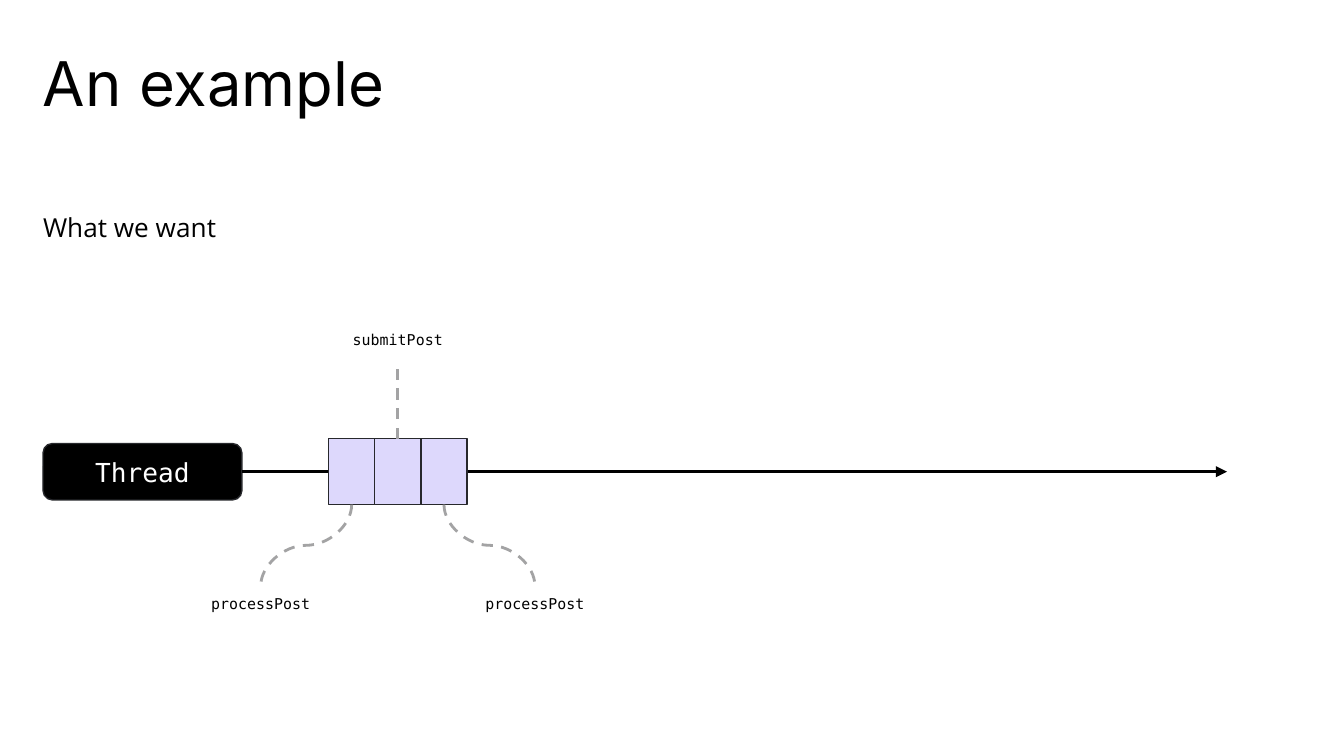
"""Build the thread timeline slide with its three queued calls."""
from lxml import etree
from pptx import Presentation
from pptx import util as u
from pptx.dml import color as c
from pptx.enum import dml, shapes, text
from pptx.oxml import ns

TITLE = "An example"
SUBTITLE = "What we want"
THREAD = "Thread"
CALLS = [
    {"text": "submitPost", "task": 1, "x": 2.96, "top": 2.39, "width": 0.92},
    {"text": "processPost", "task": 2, "x": 3.98, "top": 4.36, "width": 1.01},
    {"text": "processPost", "task": 0, "x": 1.94, "top": 4.36, "width": 1.01},
]
LABEL_H = 0.34
MARGIN = 0.32
AXIS_Y, AXIS_END = 3.51, 9.13
THREAD_W, THREAD_H = 1.48, 0.42
TASKS, TASKS_X, TASKS_W, TASK_H = 3, 2.96, 1.03, 0.49

THEME = {
    "ink": "000000", "paper": "FFFFFF", "outline": "27282C",
    "task": "DDD8FC", "link": "A3A3A4",
    "title": ("Inter", 33), "body": ("Open Sans", 14),
    "thread": ("DejaVu Sans Mono", 14), "label": ("DejaVu Sans Mono", 8),
}


def rgb(name):
    return c.RGBColor.from_string(THEME[name])


def write(sp, content, style, ink="ink", align=text.PP_ALIGN.CENTER,
          anchor=text.MSO_ANCHOR.TOP, insets=(0.1, 0.1, 0.1, 0.1)):
    tf = sp.text_frame
    tf.word_wrap = True
    tf.vertical_anchor = anchor
    (tf.margin_left, tf.margin_top,
     tf.margin_right, tf.margin_bottom) = map(u.Inches, insets)
    p = tf.paragraphs[0]
    p.alignment = align
    r = p.add_run()
    r.text = content
    r.font.name, size = THEME[style]
    r.font.size = u.Pt(size)
    r.font.color.rgb = rgb(ink)
    return p


def add_text(slide, box, *args, **kwargs):
    return write(slide.shapes.add_textbox(*map(u.Inches, box)), *args, **kwargs)


def add_block(slide, kind, box, fill):
    sp = slide.shapes.add_shape(kind, *map(u.Inches, box))
    sp.shadow.inherit = False
    sp.fill.solid()
    sp.fill.fore_color.rgb = rgb(fill)
    sp.line.color.rgb = rgb("outline")
    sp.line.width = u.Pt(0.75)
    return sp


def add_line(slide, kind, ends, ink):
    line = slide.shapes.add_connector(kind, *map(u.Inches, ends))
    line.line.color.rgb = rgb(ink)
    line.line.width = u.Pt(1.5)
    etree.SubElement(line._element.spPr, ns.qn("a:effectLst"))
    return line


def add_link(slide, x1, y1, x2, y2):
    if abs(x2 - x1) < 0.05:
        link = add_line(slide, shapes.MSO_CONNECTOR.STRAIGHT, (x1, y1, x1, y2), "link")
    else:
        side = 1 if x2 > x1 else -1
        mid_x, mid_y = (x1 + x2) / 2, (y1 + y2) / 2
        half_w, half_h = side * (y2 - y1) / 2, abs(x2 - x1) / 2
        ends = (mid_x + half_w, mid_y - half_h, mid_x - half_w, mid_y + half_h)
        link = add_line(slide, shapes.MSO_CONNECTOR.CURVE, ends, "link")
        xfrm = link._element.spPr.find(ns.qn("a:xfrm"))
        xfrm.set("rot", str((180 + 90 * side) * 60000))
    link.line.dash_style = dml.MSO_LINE.DASH


def main():
    prs = Presentation()
    prs.slide_width = u.Inches(10)
    prs.slide_height = prs.slide_width * 9 // 16
    slide = prs.slides.add_slide(prs.slide_layouts[6])
    slide.background.fill.solid()
    slide.background.fill.fore_color.rgb = rgb("paper")

    thread = add_block(slide, shapes.MSO_SHAPE.ROUNDED_RECTANGLE,
                       (MARGIN, AXIS_Y - THREAD_H / 2, THREAD_W, THREAD_H), "ink")
    write(thread, THREAD, "thread", "paper", anchor=text.MSO_ANCHOR.MIDDLE)
    axis = add_line(slide, shapes.MSO_CONNECTOR.STRAIGHT,
                    (MARGIN + THREAD_W, AXIS_Y, AXIS_END, AXIS_Y), "ink")
    ln = axis._element.spPr.find(ns.qn("a:ln"))
    etree.SubElement(ln, ns.qn("a:tailEnd"), type="triangle")

    p = add_text(slide, (MARGIN, 1.46, 9.11, 0.59), SUBTITLE, "body",
                 align=text.PP_ALIGN.LEFT, insets=(0, 0.08, 0, 0))
    p.line_spacing, p.space_after = 1.15, u.Pt(4)
    p = add_text(slide, (MARGIN, 0.32, 9.3, 0.5), TITLE, "title",
                 align=text.PP_ALIGN.LEFT, insets=(0, 0.1, 0, 0.1))
    p.line_spacing = 0.85

    task_w = TASKS_W / TASKS
    left, top = TASKS_X - TASKS_W / 2, AXIS_Y - TASK_H / 2
    for i in range(TASKS):
        add_block(slide, shapes.MSO_SHAPE.RECTANGLE,
                  (left + i * task_w, top, task_w, TASK_H), "task")

    for call in CALLS:
        x, y, width = call["x"], call["top"], call["width"]
        add_text(slide, (x - width / 2, y, width, LABEL_H), call["text"], "label")
        start, end = (top, y + LABEL_H) if y < top else (top + TASK_H, y)
        add_link(slide, left + (call["task"] + 0.5) * task_w, start, x, end)

    prs.save("out.pptx")


if __name__ == "__main__":
    main()
